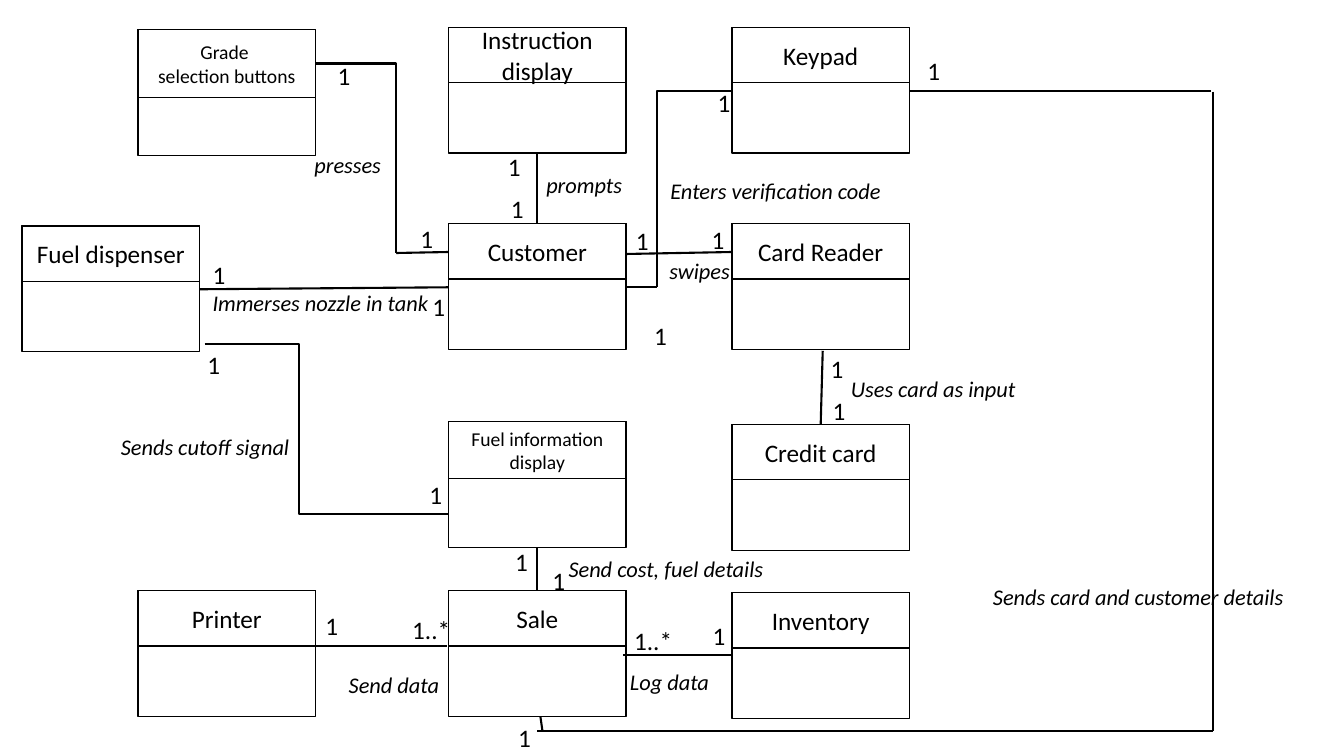
from dataclasses import dataclass
from lxml.etree import SubElement
from pptx import Presentation
from pptx.dml.color import RGBColor
from pptx.enum.shapes import MSO_CONNECTOR, MSO_SHAPE
from pptx.enum.text import MSO_ANCHOR, MSO_AUTO_SIZE, PP_ALIGN
from pptx.oxml.ns import qn
from pptx.util import Inches, Pt


@dataclass(frozen=True)
class Theme:
    font: str = "Calibri"
    ink: RGBColor = RGBColor(0, 0, 0)
    paper: RGBColor = RGBColor(255, 255, 255)
    name: int = 18
    small: int = 14
    verb: int = 16
    edge: float = 1
    link: float = 1.5


theme = Theme()
WIDE, TALL, HEAD = 1.76, 1.25, 0.55

classes = [
    ("Fuel dispenser", 0.22, 2.24, HEAD, theme.name),
    ("Customer", 4.45, 2.22, HEAD, theme.name),
    ("Card Reader", 7.26, 2.22, HEAD, theme.name),
    ("Fuel information\ndisplay", 4.45, 4.18, 0.57, theme.small),
    ("Credit card", 7.26, 4.21, HEAD, theme.name),
    ("Grade \nselection buttons", 1.37, 0.29, 0.68, theme.small),
    ("Instruction display", 4.45, 0.27, HEAD, theme.name),
    ("Keypad", 7.26, 0.27, HEAD, theme.name),
    ("Printer", 1.37, 5.86, HEAD, theme.name),
    ("Sale", 4.45, 5.86, HEAD, theme.name),
    ("Inventory", 7.26, 5.88, HEAD, theme.name),
]

lines = [
    (5.33, 2.22, 5.33, 1.53),
    (3.93, 2.51, 4.45, 2.5),
    (1.98, 2.87, 4.45, 2.85),
    (6.21, 2.52, 7.26, 2.5),
    (6.21, 2.85, 6.52, 2.85),
    (3.9, 5.1, 4.45, 5.1),
    (5.33, 5.86, 5.33, 5.44),
    (3.11, 6.41, 4.43, 6.41),
    (6.18, 6.5, 7.26, 6.5),
    (8.14, 4.21, 8.16, 3.48),
    (9.02, 0.9, 12.01, 0.9),
    (12.03, 0.91, 12.03, 7.25),
    (5.33, 7.25, 12.03, 7.25),
    (5.36, 7.11, 5.38, 7.25),
]

bends = [
    (3.13, 0.63, 3.93, 2.51, "bentConnector2"),
    (7.26, 0.9, 6.52, 2.85, "bentConnector2"),
    (2.03, 3.41, 3.9, 5.1, "bentConnector3"),
]

verbs = [
    ("presses", 3.02, 1.45, 0.87),
    ("prompts", 5.32, 1.65, 0.97),
    ("Enters verification code", 6.55, 1.71, 2.34),
    ("swipes", 6.54, 2.5, 0.82),
    ("Immerses nozzle in tank", 2.01, 2.82, 2.39),
    ("Sends cutoff signal", 1.1, 4.25, 1.9),
    ("Uses card as input", 8.34, 3.67, 1.85),
    ("Send data", 3.36, 6.61, 1.11),
    ("Log data", 6.15, 6.58, 1),
    ("Send cost, fuel details", 5.54, 5.46, 2.18),
    ("Sends card and customer details", 9.75, 5.74, 3.14),
]

counts = {
    "1": [
        (3.25, 0.55), (4.07, 2.17), (4.97, 1.87), (4.94, 1.45), (7.02, 0.82),
        (6.39, 3.13), (6.96, 2.18), (6.21, 2.19), (8.16, 3.87), (8.14, 3.46),
        (4.19, 2.84), (2.01, 2.52), (4.16, 4.71), (1.96, 3.42), (3.13, 6.01),
        (6.97, 6.11), (5.01, 5.37), (5.38, 5.56), (9.1, 0.5), (5.04, 7.12),
    ],
    "1..*": [(3.99, 6.05), (6.19, 6.15)],
}
spans = {"1": 0.33, "1..*": 0.58}

deck = Presentation()
deck.slide_width, deck.slide_height = Inches(13.33), Inches(7.5)
slide = deck.slides.add_slide(deck.slide_layouts[6])
shapes = slide.shapes


def write(frame, text, size, align, slant=False):
    frame.text = text
    for para in frame.paragraphs:
        para.alignment = align
        font = para.font
        font.name, font.size, font.italic = theme.font, Pt(size), slant
        font.color.rgb = theme.ink


def draw_box(left, top, height):
    box = shapes.add_shape(MSO_SHAPE.RECTANGLE, *map(Inches, (left, top, WIDE, height)))
    box.shadow.inherit = False
    box.fill.solid()
    box.fill.fore_color.rgb = theme.paper
    box.line.color.rgb = theme.ink
    box.line.width = Pt(theme.edge)
    return box


def draw_class(name, left, top, head, size):
    draw_box(left, top, TALL)
    frame = draw_box(left, top, head).text_frame
    frame.word_wrap = True
    frame.vertical_anchor = MSO_ANCHOR.MIDDLE
    write(frame, name, size, PP_ALIGN.CENTER)


def draw_link(kind, *ends):
    link = shapes.add_connector(kind, *map(Inches, ends))
    link.line.color.rgb = theme.ink
    link.line.width = Pt(theme.link)
    SubElement(link._element.spPr, qn("a:effectLst"))
    return link


def draw_label(text, left, top, width, height, size, slant=False):
    frame = shapes.add_textbox(*map(Inches, (left, top, width, height))).text_frame
    frame.word_wrap = False
    frame.auto_size = MSO_AUTO_SIZE.SHAPE_TO_FIT_TEXT
    write(frame, text, size, PP_ALIGN.LEFT, slant)


for item in classes:
    draw_class(*item)

for ends in lines:
    draw_link(MSO_CONNECTOR.STRAIGHT, *ends)

for *ends, form in bends:
    bend = draw_link(MSO_CONNECTOR.ELBOW, *ends)
    bend._element.spPr.find(qn("a:prstGeom")).set("prst", form)

for verb, left, top, width in verbs:
    draw_label(verb, left, top, width, 0.37, theme.verb, True)

for count, spots in counts.items():
    for left, top in spots:
        draw_label(count, left, top, spans[count], 0.4, theme.name)

deck.save("out.pptx")
